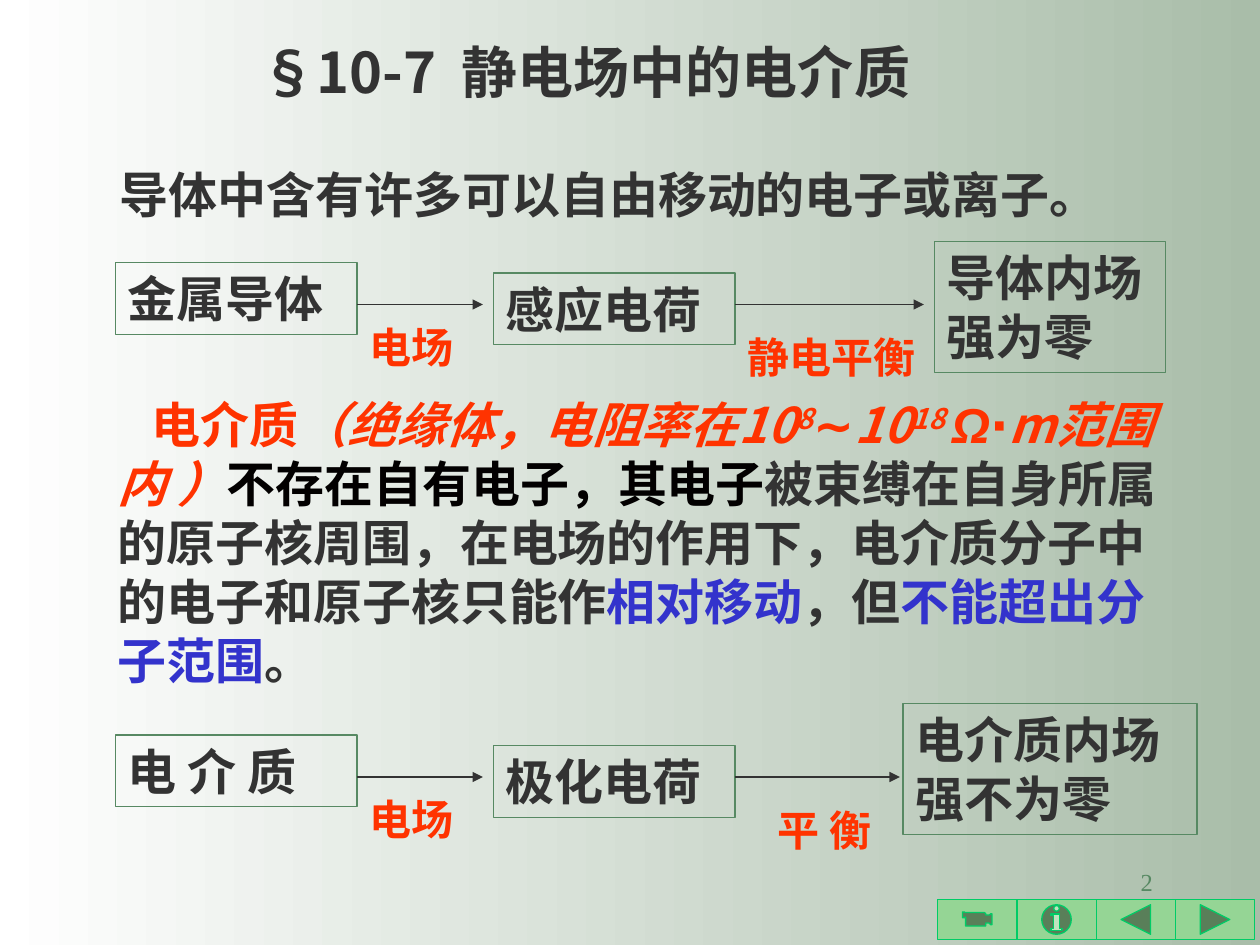
from lxml import etree
from pptx import Presentation
from pptx import util as u
from pptx.dml.color import RGBColor
from pptx.enum import shapes, text
from pptx.oxml.ns import qn

COLUMNS, ROWS = 120, 90
SANS, SERIF, ARIAL = "Noto Sans CJK SC", "Times New Roman", "Arial"
INK, GREEN, RED, BLUE, BLACK = "333333", "578963", "FF3300", "3333CC", "020000"

presentation = Presentation()
presentation.slide_width = u.Inches(10)
presentation.slide_height = u.Inches(7.5)


def colour(value):
    return RGBColor.from_string(value)


def grid(left, top, width, height):
    column = presentation.slide_width / COLUMNS
    row = presentation.slide_height / ROWS
    return [round(n) for n in (left * column, top * row, width * column, height * row)]


def place(shape, box):
    shape.left, shape.top, shape.width, shape.height = grid(*box)


def add_run(paragraph, words, size, value, font=SANS, bold=True, italic=False, raised=False):
    run = paragraph.add_run()
    run.text = words
    run.font.size = u.Pt(size)
    run.font.name = font
    run.font.bold = bold
    run.font.italic = italic
    run.font.color.rgb = colour(value)
    properties = run.font._element
    if raised:
        properties.set("baseline", "30000")
    east_asian = etree.Element(qn("a:ea"), typeface=SANS)
    properties.find(qn("a:latin")).addnext(east_asian)


def first_paragraph(shape, align=text.PP_ALIGN.LEFT, indent=0):
    frame = shape.text_frame
    frame.word_wrap = True
    frame.auto_size = text.MSO_AUTO_SIZE.NONE
    frame.vertical_anchor = text.MSO_ANCHOR.TOP
    paragraph = frame.paragraphs[0]
    paragraph.alignment = align
    paragraph.space_before = u.Pt(0)
    properties = paragraph._p.get_or_add_pPr()
    properties.set("marL", "0")
    properties.set("indent", str(u.Inches(indent)))
    etree.SubElement(properties, qn("a:buNone"))
    return paragraph


def add_label(parent, box, words, size, value, font=SERIF, bold=True, **layout):
    shape = parent.add_textbox(*grid(*box))
    paragraph = first_paragraph(shape, **layout)
    add_run(paragraph, words, size, value, font, bold)
    return paragraph


def add_box(parent, box, words):
    shape = parent.add_shape(shapes.MSO_SHAPE.RECTANGLE, *grid(*box))
    shape.shadow.inherit = False
    shape.fill.background()
    shape.line.color.rgb = colour(GREEN)
    shape.line.width = u.Pt(0.75)
    add_run(first_paragraph(shape), words, 28, INK, SERIF)


def add_arrow(parent, left, right, top):
    start, height, end, _ = grid(left, top, right, 0)
    arrow = parent.add_connector(shapes.MSO_CONNECTOR.STRAIGHT, start, height, end, height)
    arrow.line.color.rgb = colour(INK)
    arrow.line.width = u.Pt(0.75)
    etree.SubElement(arrow.line._get_or_add_ln(), qn("a:tailEnd"), type="triangle")
    etree.SubElement(arrow._element.spPr, qn("a:effectLst"))


def add_flow(slide, left, top, source, charge, balance, balance_indent, arrow_end, result, result_box):
    parent = slide.shapes.add_group_shape().shapes
    column, rise, width = result_box
    add_box(parent, (left, top, 23, 6.85), source)
    add_arrow(parent, left + 23, left + 35, top + 4)
    add_label(parent, (left + 23, top + 5, 13, 6), "电场", 24, RED)
    add_box(parent, (left + 36, top + 1, 23, 6.85), charge)
    add_arrow(parent, left + 59, left + arrow_end, top + 4)
    add_label(parent, (left + 59, top + 6, 23, 6), balance, 24, RED, indent=balance_indent)
    add_box(parent, (left + column, top - rise, width, 12.5), result)


def add_title(slide, box):
    place(slide.shapes.title, box)
    add_run(first_paragraph(slide.shapes.title), "§10-7  静电场中的电介质", 32, INK)


def add_explanation(slide, box):
    body = slide.placeholders[1]
    place(body, box)
    paragraph = first_paragraph(body, indent=0.27)
    slanted = {"value": RED, "italic": True}
    for words, style in (
        ("电介质", {"value": RED}),
        ("（绝缘体，电阻率在10", slanted),
        ("8", {**slanted, "raised": True}),
        ("∼", {**slanted, "font": ARIAL}),
        ("10", slanted),
        ("18 ", {**slanted, "raised": True}),
        ("Ω⋅", {**slanted, "font": ARIAL}),
        ("m范围内 ）", slanted),
        ("不存在自有电子，其电子", {"value": BLACK}),
        ("被束缚在自身所属的原子核周围，在电场的作用下，电介质分子中的电子和原子核只能作", {"value": INK}),
        ("相对移动", {"value": BLUE}),
        ("，但", {"value": INK}),
        ("不能超出分子范围", {"value": BLUE}),
        ("。", {"value": INK}),
    ):
        add_run(paragraph, words, 28, **style)


def add_navigation(slide, left, top, width, height):
    kinds = shapes.MSO_SHAPE
    buttons = (kinds.ACTION_BUTTON_MOVIE, kinds.ACTION_BUTTON_INFORMATION,
               kinds.ACTION_BUTTON_BACK_OR_PREVIOUS, kinds.ACTION_BUTTON_FORWARD_OR_NEXT)
    step = width / len(buttons)
    for index, kind in enumerate(buttons):
        button = slide.shapes.add_shape(kind, *grid(left + index * step, top, step, height))
        button.shadow.inherit = False
        button.fill.solid()
        button.fill.fore_color.rgb = colour("95D595")
        button.line.color.rgb = colour("00CC66")
        button.line.width = u.Pt(0.75)


def paint_background(slide):
    fill = slide.background.fill
    fill.gradient()
    fill.gradient_angle = 0
    for stop, value in zip(fill.gradient_stops, ("FFFFFF", "A9BDA9")):
        stop.color.rgb = colour(value)


def main():
    slide = presentation.slides.add_slide(presentation.slide_layouts[1])
    paint_background(slide)
    add_label(slide.shapes, (86, 82, 25, 6), "2", 14, GREEN, bold=False, align=text.PP_ALIGN.RIGHT)
    add_title(slide, (23.6, 3, 76, 7.7))
    opening = add_label(slide.shapes, (7, 14, 107, 7.9), "导体中含有许多可以自由移动的电子或离子。",
                        28, INK, SANS, indent=0.27)
    opening.line_spacing = 1.2
    add_flow(slide, 11, 25, "金属导体", "感应电荷", "静电平衡", 0, 77, "导体内场强为零", (78, 2, 22))
    add_explanation(slide, (10, 37, 103, 29.3))
    add_flow(slide, 11, 70, "电 介 质", "极化电荷", "平 衡", 0.24, 74.7, "电介质内场强不为零", (75, 3, 28))
    add_navigation(slide, 89.3, 85.7, 30.2, 3.75)
    presentation.save("out.pptx")


if __name__ == "__main__":
    main()
